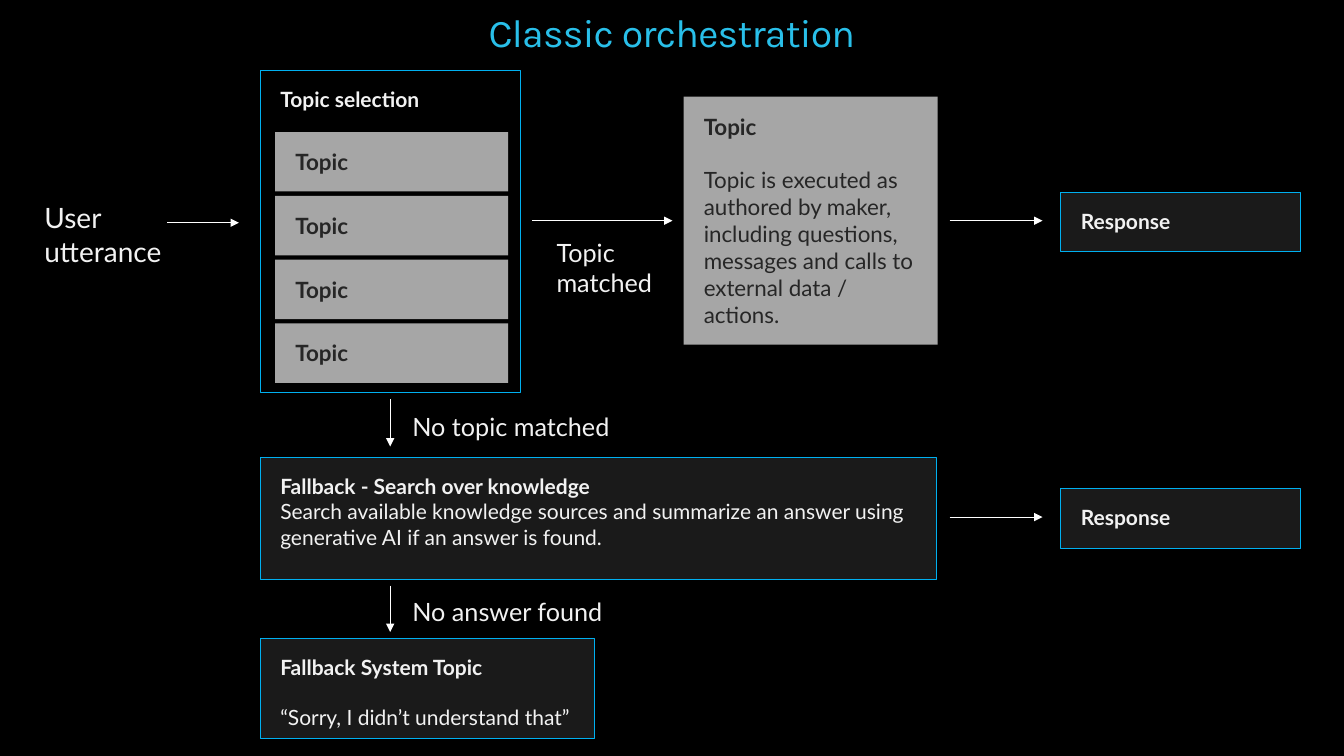
"""Builds the classic orchestration flow slide."""
from lxml import etree
from pptx import Presentation, util as u
from pptx.dml.color import RGBColor
from pptx.enum import shapes, text
from pptx.oxml.ns import qn

BLACK = RGBColor(0x00, 0x00, 0x00)
WHITE = RGBColor(0xFF, 0xFF, 0xFF)
PALE = RGBColor(0xF2, 0xF2, 0xF2)
DARK = RGBColor(0x1A, 0x1A, 0x1A)
INK = RGBColor(0x26, 0x26, 0x26)
GREY = RGBColor(0xA6, 0xA6, 0xA6)
BLUE = RGBColor(0x00, 0xB0, 0xF0)
CYAN = RGBColor(0x29, 0xBF, 0xE9)

prs = Presentation()
prs.slide_width, prs.slide_height = u.Inches(13.33), u.Inches(7.5)
s = prs.slides.add_slide(prs.slide_layouts[6])
s.background.fill.solid()
s.background.fill.fore_color.rgb = BLACK


def write(sp, lines, size, color, inset=(0, 0), gap=0, font="Lato"):
    """Fill a shape with (wording, bold) paragraphs, gap points apart."""
    tf = sp.text_frame
    tf.word_wrap = True
    tf.vertical_anchor = text.MSO_ANCHOR.TOP
    tf.margin_left = tf.margin_right = u.Inches(inset[0])
    tf.margin_top = tf.margin_bottom = u.Inches(inset[1])
    for i, (wording, bold) in enumerate(lines):
        p = tf.add_paragraph() if i else tf.paragraphs[0]
        p.alignment = text.PP_ALIGN.LEFT
        if i:
            p.space_before = u.Pt(gap)
        r = p.add_run()
        r.text = wording
        r.font.name, r.font.size, r.font.bold = font, u.Pt(size), bold
        r.font.color.rgb = color
    return tf


def box(x, y, w, h, fill, lines, size=15, color=PALE, line=BLUE, gap=0):
    """Draw a filled rectangle with its wording."""
    sp = s.shapes.add_shape(shapes.MSO_SHAPE.RECTANGLE, *map(u.Inches, (x, y, w, h)))
    sp.shadow.inherit = False
    sp.fill.solid()
    sp.fill.fore_color.rgb = fill
    if line is None:
        sp.line.fill.background()
    else:
        sp.line.color.rgb = line
        sp.line.width = u.Pt(0.75)
    write(sp, lines, size, color, (0.2, 0.16), gap)


LEFT, MID_Y, LOW_Y = 2.58, 2.19, 5.13
DOWN_X = 3.87

box(LEFT, 0.7, 2.58, 3.19, BLACK, [("Topic selection", True)])
for row in range(4):
    box(2.73, 1.31 + row * 0.633, 2.31, 0.59, GREY, [("Topic", True)], 16, INK, None)

box(6.78, 0.96, 2.52, 2.46, GREY,
    [("Topic", True),
     ("Topic is executed as authored by maker, including questions, "
      "messages and calls to external data / actions.", False)],
    16, INK, None, gap=19.2)
box(LEFT, 4.54, 6.71, 1.21, DARK,
    [("Fallback - Search over knowledge", True),
     ("Search available knowledge sources and summarize an answer using "
      "generative AI if an answer is found.", False)])
box(LEFT, 6.33, 3.32, 1, DARK,
    [("Fallback System Topic", True),
     ("“Sorry, I didn’t understand that”", False)], gap=18)

for y in (1.91, 4.85):
    box(10.52, y, 2.38, 0.59, DARK, [("Response", True)])

for x1, y1, x2, y2 in [
    (1.66, 2.21, 2.37, 2.21),
    (5.28, MID_Y, 6.67, MID_Y),
    (9.42, MID_Y, 10.34, MID_Y),
    (9.42, LOW_Y, 10.34, LOW_Y),
    (DOWN_X, 3.96, DOWN_X, 4.43),
    (DOWN_X, 5.81, DOWN_X, 6.27),
]:
    arrow = s.shapes.add_connector(
        shapes.MSO_CONNECTOR.STRAIGHT, *map(u.Inches, (x1, y1, x2, y2)))
    arrow.line.color.rgb = WHITE
    arrow.line.width = u.Pt(0.75)
    etree.SubElement(arrow.line._get_or_add_ln(), qn("a:tailEnd"), type="triangle")
    etree.SubElement(arrow._element.spPr, qn("a:effectLst"))

for x, y, w, h, lines, size, wrap in [
    (0.44, 1.99, 1.24, 0.67, ["User utterance"], 20, True),
    (5.52, 2.35, 0.97, 0.61, ["Topic", "matched"], 18, False),
    (4.09, 4.08, 2, 0.3, ["No topic matched"], 18, False),
    (4.09, 5.92, 1.91, 0.3, ["No answer found"], 18, False),
]:
    label = s.shapes.add_textbox(*map(u.Inches, (x, y, w, h)))
    tf = write(label, [(line, False) for line in lines], size, PALE)
    tf.word_wrap = wrap
    tf.auto_size = text.MSO_AUTO_SIZE.SHAPE_TO_FIT_TEXT

title = s.shapes.add_textbox(0, u.Inches(0.01), prs.slide_width, u.Inches(0.61))
tf = write(title, [("Classic orchestration", False)], 28, CYAN, (0.1, 0.05), font="Karla")
tf.vertical_anchor = text.MSO_ANCHOR.MIDDLE
p = tf.paragraphs[0]
p.alignment = text.PP_ALIGN.CENTER
p.runs[0].font._element.set("spc", "-50")

prs.save("out.pptx")
